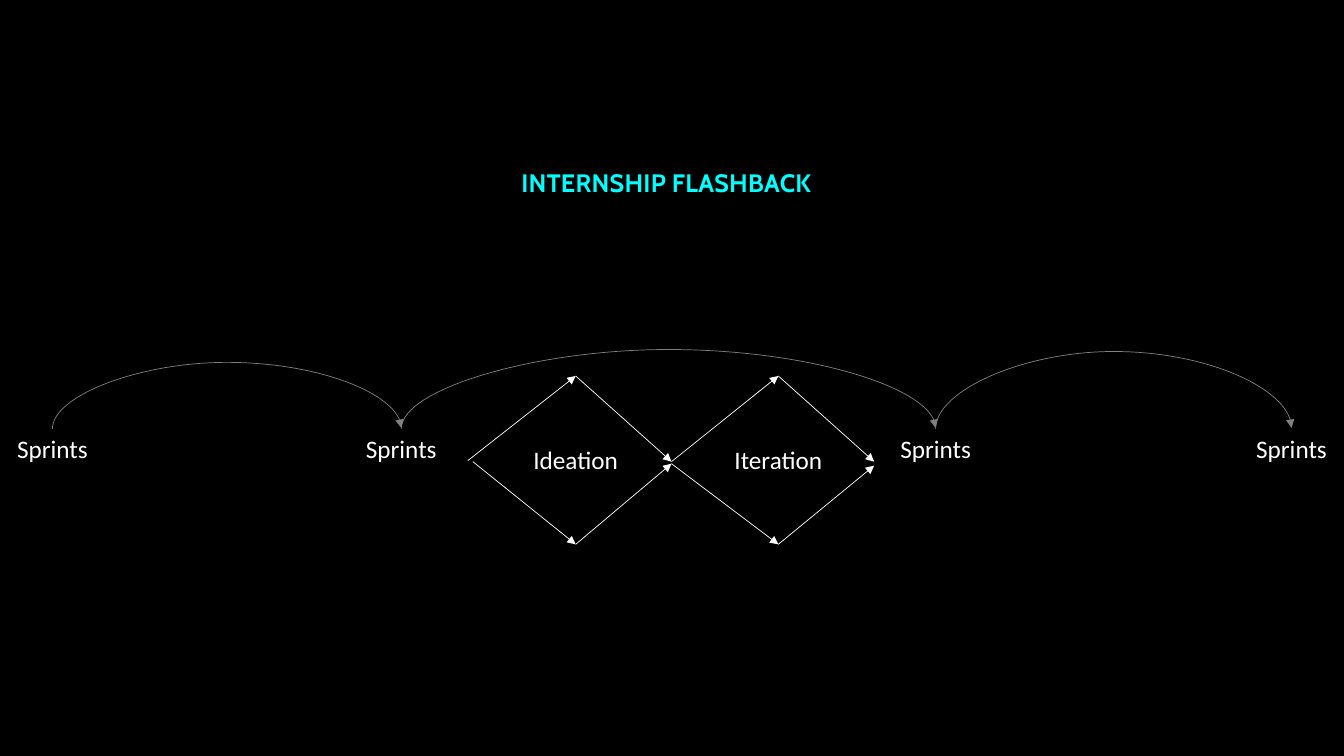
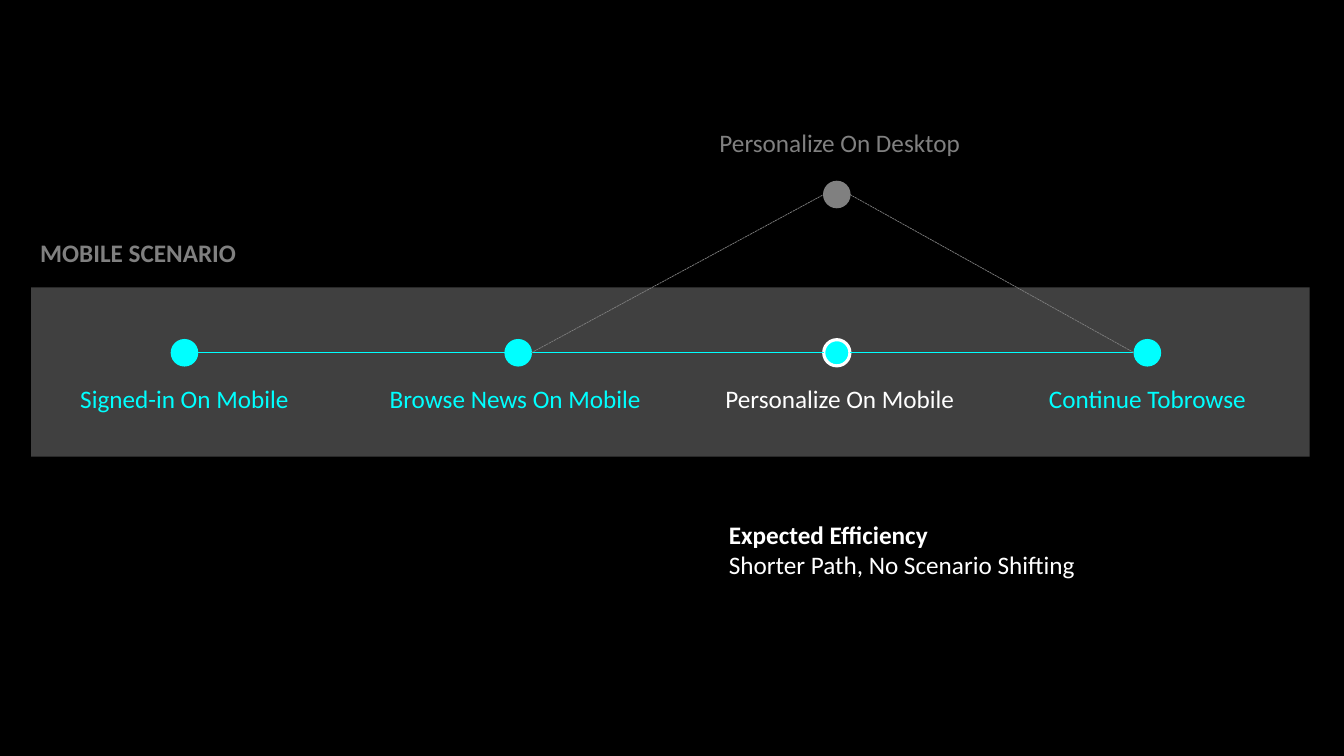
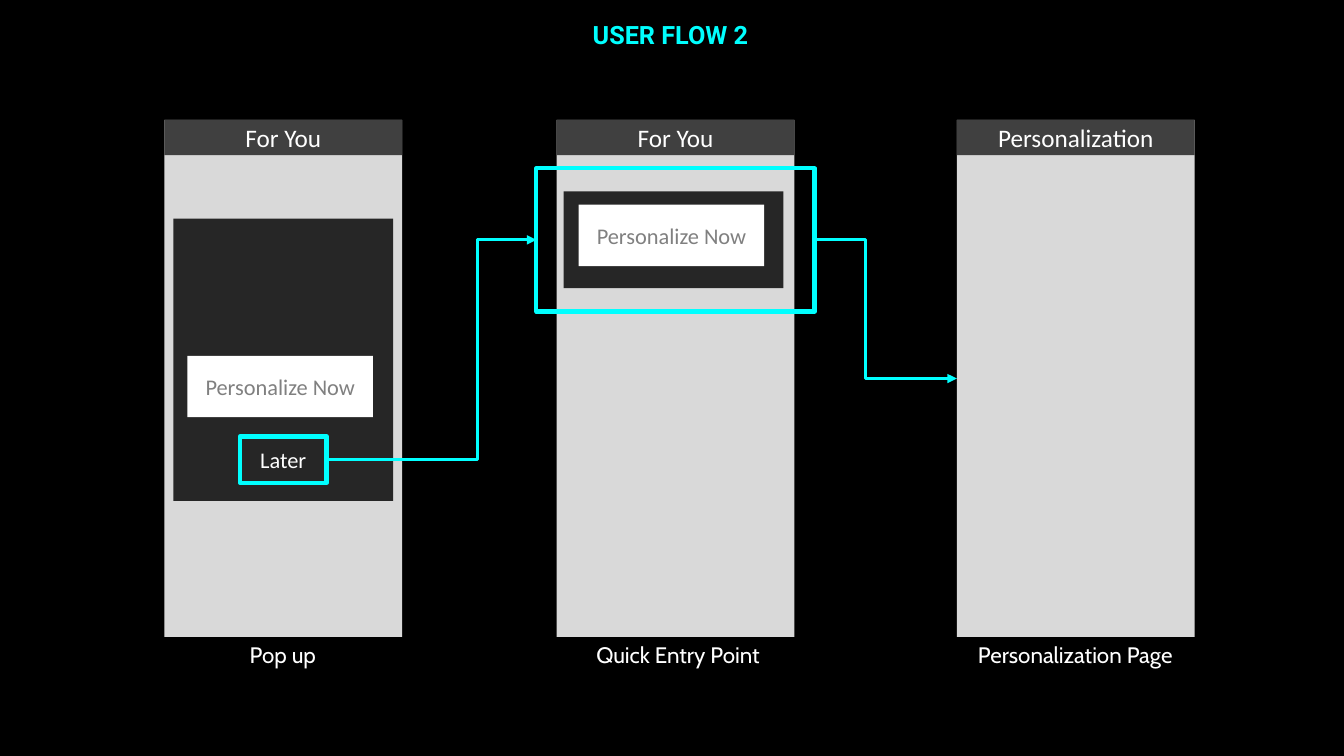
import itertools

import pptx
import pptx.dml.color
import pptx.enum.dml
import pptx.enum.shapes
import pptx.enum.text
import pptx.oxml
import pptx.oxml.ns
import pptx.util

Inches = pptx.util.Inches
Pt = pptx.util.Pt
SHAPE = pptx.enum.shapes.MSO_SHAPE
CONNECTOR = pptx.enum.shapes.MSO_CONNECTOR
ALIGN = pptx.enum.text.PP_ALIGN
ANCHOR = pptx.enum.text.MSO_ANCHOR
A_NS = pptx.oxml.ns.nsdecls("a")

COLORS = {
    "black": "000000",
    "white": "FFFFFF",
    "cyan": "00FFFF",
    "grey": "808080",
    "band": "404040",
    "card": "262626",
    "screen": "D9D9D9",
}


def rgb(name):
    return pptx.dml.color.RGBColor.from_string(COLORS[name])


class Deck:
    def __init__(self):
        self.prs = pptx.Presentation()
        self.prs.slide_width = Inches(13.33)
        self.prs.slide_height = Inches(7.5)
        fill = self.prs.slide_master.background.fill
        fill.solid()
        fill.fore_color.rgb = rgb("black")
        self.slide = None

    def add_slide(self, titled=True):
        layout = self.prs.slide_layouts[5 if titled else 6]
        self.slide = self.prs.slides.add_slide(layout)

    def set_text(self, sp, lines, color="white", size=18, font="Calibri",
                 bold=False, align=ALIGN.CENTER, anchor=ANCHOR.TOP):
        """Fill a shape with one paragraph per line; bold marks the first."""
        tf = sp.text_frame
        tf.word_wrap = True
        tf.vertical_anchor = anchor
        for i, line in enumerate(lines.split("\n")):
            p = tf.paragraphs[0] if i == 0 else tf.add_paragraph()
            p.text = line
            p.alignment = align
            p.font.name = font
            p.font.size = Pt(size)
            p.font.bold = bold and i == 0
            p.font.color.rgb = rgb(color)

    def title(self, x, y, w, text, font, spacing=0):
        sp = self.slide.shapes.title
        sp.left, sp.top = Inches(x), Inches(y)
        sp.width, sp.height = Inches(w), Inches(0.4)
        self.set_text(sp, text, "cyan", font=font, bold=True)
        if spacing:
            rPr = sp.text_frame.paragraphs[0].runs[0].font._rPr
            rPr.set("spc", str(spacing))

    def text(self, x, y, w, h, lines, **style):
        sp = self.slide.shapes.add_textbox(
            Inches(x), Inches(y), Inches(w), Inches(h))
        self.set_text(sp, lines, **style)

    def label(self, cx, y, text, color="white", w=3.0):
        """One line of text centred on cx."""
        self.text(cx - w / 2, y, w, 0.4, text, color=color)

    def shape(self, kind, x, y, w, h, fill=None, line=None, weight=1):
        sp = self.slide.shapes.add_shape(
            kind, Inches(x), Inches(y), Inches(w), Inches(h))
        sp.shadow.inherit = False
        if fill:
            sp.fill.solid()
            sp.fill.fore_color.rgb = rgb(fill)
        else:
            sp.fill.background()
        if line:
            sp.line.color.rgb = rgb(line)
            sp.line.width = Pt(weight)
        else:
            sp.line.fill.background()
        return sp

    def box(self, x, y, w, h, fill=None, text=None, line=None, weight=3,
            **style):
        sp = self.shape(SHAPE.RECTANGLE, x, y, w, h, fill, line, weight)
        if text:
            self.set_text(sp, text, anchor=ANCHOR.MIDDLE, **style)
        return sp

    def connector(self, start, end, color, weight=0.5, kind=CONNECTOR.STRAIGHT,
                  arrow=False, dashed=False):
        cx = self.slide.shapes.add_connector(
            kind, *(Inches(v) for v in (*start, *end)))
        cx.line.color.rgb = rgb(color)
        cx.line.width = Pt(weight)
        if dashed:
            cx.line.dash_style = pptx.enum.dml.MSO_LINE.SQUARE_DOT
        if arrow:
            cx.line._get_or_add_ln().append(pptx.oxml.parse_xml(
                f'<a:tailEnd {A_NS} type="triangle"/>'))
        cx._element.spPr.append(
            pptx.oxml.parse_xml(f"<a:effectLst {A_NS}/>"))
        return cx

    def bend(self, cx, ratio):
        """Set where the middle leg of a bent or curved connector runs."""
        avLst = cx._element.spPr.prstGeom.get_or_add_avLst()
        avLst.append(pptx.oxml.parse_xml(
            f'<a:gd {A_NS} name="adj1" fmla="val {round(ratio * 100000)}"/>'))

    def arc(self, x1, x2, y, rise):
        """Curved arrow from x1 over to x2: a connector turned a quarter."""
        mid, half, thin = (x1 + x2) / 2, (x2 - x1) / 2, 0.01
        cx = self.connector((mid + thin / 2, y + half),
                            (mid - thin / 2, y - half),
                            "grey", kind=CONNECTOR.CURVE, arrow=True)
        cx._element.spPr.xfrm.set("rot", str(90 * 60000))
        self.bend(cx, rise / thin)

    def elbow(self, source, target, ratio):
        """Bent arrow from the right side of source to the left of target."""
        cx = self.connector((0, 0), (1, 1), "cyan", 2.25, CONNECTOR.ELBOW,
                            arrow=True)
        cx.begin_connect(source, 3)
        cx.end_connect(target, 1)
        self.bend(cx, ratio)


def sprints_slide(deck):
    deck.add_slide()
    deck.title(4.89, 1.61, 3.44, "INTERNSHIP FLASHBACK", "Cabin", spacing=20)
    sprints = [0.52, 3.98, 9.28, 12.81]
    for x in sprints:
        deck.label(x, 4.25, "Sprints", w=1.9)
    upper = [(4.64, 4.57), (5.71, 3.73), (6.66, 4.58), (7.72, 3.73),
             (8.67, 4.58)]
    lower = [(4.69, 4.58), (5.71, 5.4), (6.66, 4.6), (7.72, 5.4),
             (8.67, 4.62)]
    for route in (upper, lower):
        for start, end in itertools.pairwise(route):
            deck.connector(start, end, "white", arrow=True)
    for x, phase in ((5.71, "Ideation"), (7.72, "Iteration")):
        deck.label(x, 4.36, phase, w=1.9)
    for (x1, x2), rise in zip(itertools.pairwise(sprints), (0.67, 0.8, 0.78)):
        deck.arc(x1, x2, 4.25, rise)


def scenario_slide(deck):
    deck.add_slide(titled=False)
    deck.box(0.31, 2.85, 12.68, 1.68, "band")
    r, y, desktop_y = 0.13, 3.5, 1.93
    # node centre, label centre, label, label colour, node outline and weight
    steps = [
        (1.83, 1.83, "Signed-in On Mobile", "cyan", "cyan", 1),
        (5.14, 5.11, "Browse News On Mobile", "cyan", "cyan", 1),
        (8.3, 8.33, "Personalize On Mobile", "white", "white", 2.25),
        (11.38, 11.38, "Continue Tobrowse", "cyan", "cyan", 1),
    ]

    def node(x, cy, fill, line, weight=1):
        deck.shape(SHAPE.OVAL, x - r, cy - r, 2 * r, 2 * r, fill, line, weight)

    for x, label_x, name, color, line, weight in steps:
        node(x, y, "cyan", line, weight)
        deck.label(label_x, 3.75, name, color)
    xs = [step[0] for step in steps]
    for x1, x2 in itertools.pairwise(xs):
        deck.connector((x1 + r, y), (x2 - r, y), "cyan")

    browse, desktop, resume = xs[1:]
    node(desktop, desktop_y, "grey", "grey")
    deck.label(8.33, 1.21, "Personalize On Desktop", "grey")
    deck.connector((browse + r, y), (desktop - r, desktop_y), "grey",
                   dashed=True)
    deck.connector((desktop + r, desktop_y), (resume - r, y), "grey",
                   dashed=True)
    deck.text(0.3, 2.31, 2.78, 0.4, "MOBILE SCENARIO", color="grey",
              bold=True, align=ALIGN.LEFT)
    deck.text(7.13, 5.1, 4.92, 0.71,
              "Expected Efficiency\nShorter Path, No Scenario Shifting",
              bold=True, align=ALIGN.LEFT)


def user_flow_slide(deck):
    deck.add_slide()
    deck.title(4.28, 0.14, 4.74, "USER FLOW 2", "Roboto")
    phones = [
        (1.63, "For You", 1.23, "Pop up"),
        (5.52, "For You", 5.15, "Quick Entry Point"),
        (9.49, "Personalization", 9.09, "Personalization Page"),
    ]
    screens = []
    for x, header, caption_x, caption in phones:
        screens.append(deck.box(x, 1.19, 2.36, 5.13, "screen"))
        deck.box(x, 1.19, 2.36, 0.35, "band", header)
        deck.text(caption_x, 6.31, 3.15, 0.37, caption, size=16, font="Cabin")

    # card left, top and height, then button left and top
    for x, y, h, button_x, button_y in ((1.72, 2.17, 2.8, 1.86, 3.53),
                                        (5.59, 1.9, 0.96, 5.74, 2.03)):
        deck.box(x, y, 2.18, h, "card")
        deck.box(button_x, button_y, 1.84, 0.61, "white", "Personalize Now",
                 color="grey", size=16)

    later = deck.box(2.38, 4.33, 0.86, 0.46, text="Later", line="cyan",
                     size=16)
    entry = deck.box(5.32, 1.67, 2.76, 1.42, line="cyan")
    deck.elbow(later, entry, 0.72)
    deck.elbow(entry, screens[2], 0.36)


def main():
    deck = Deck()
    sprints_slide(deck)
    scenario_slide(deck)
    user_flow_slide(deck)
    deck.prs.save("out.pptx")


if __name__ == "__main__":
    main()
